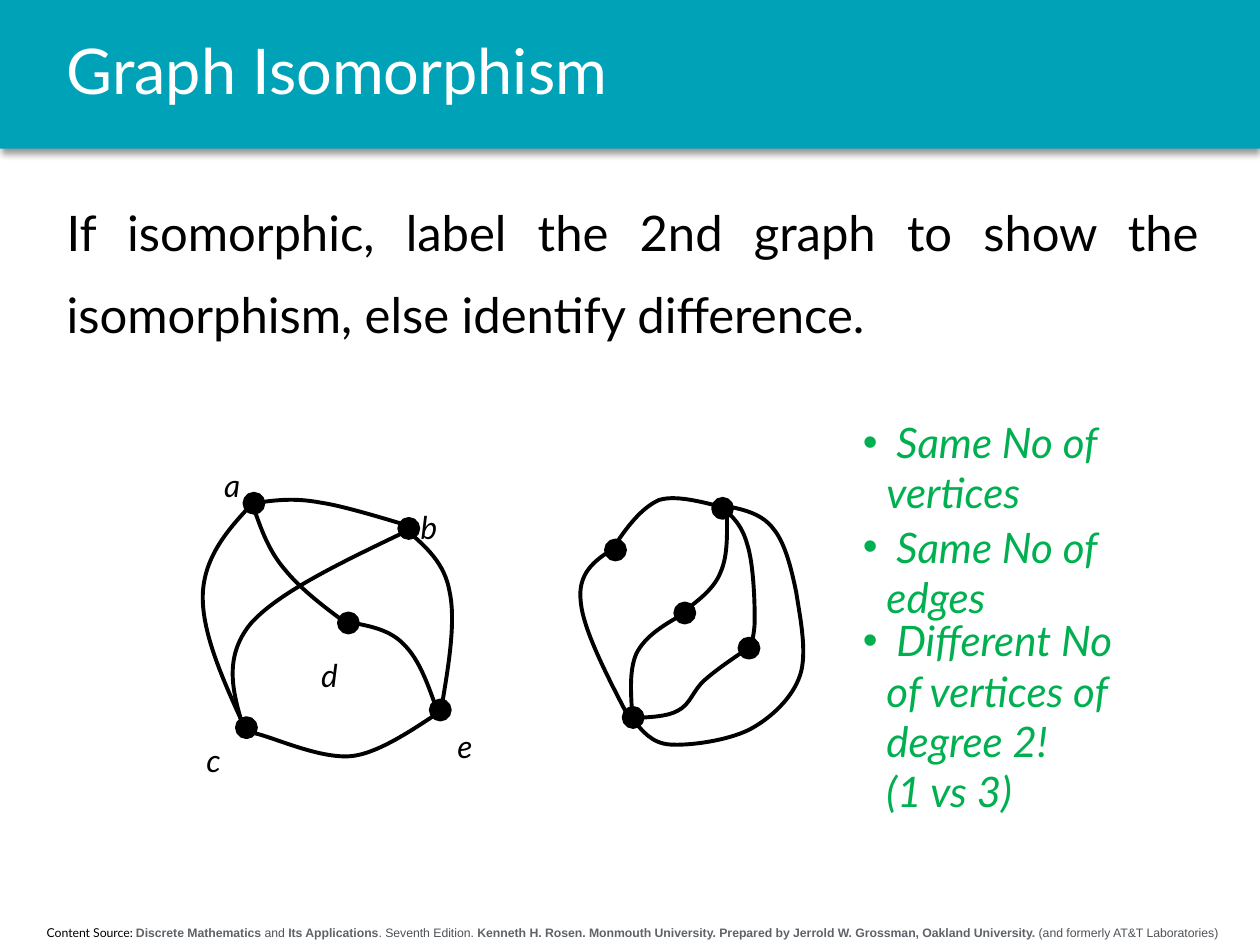
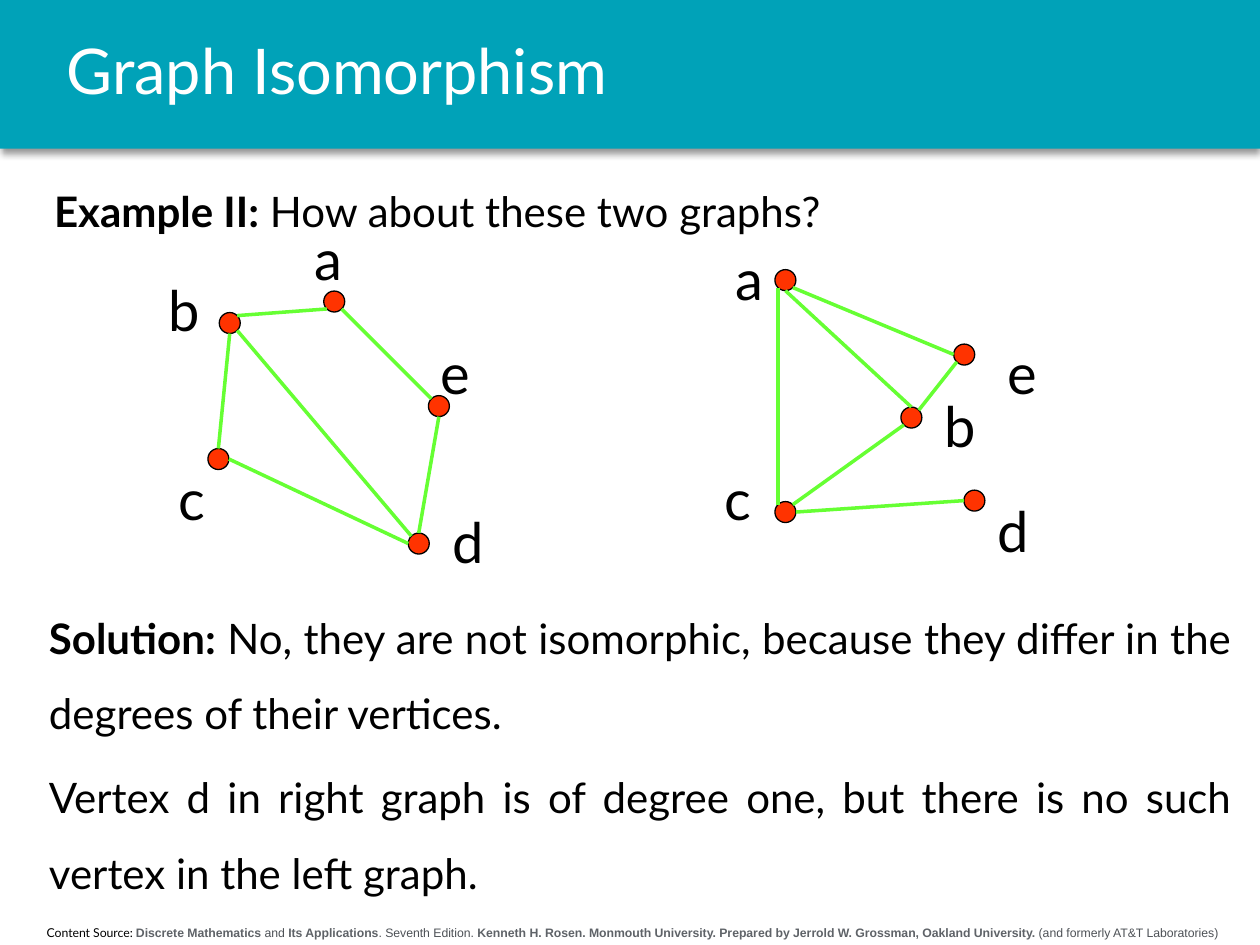
from math import cos, radians, sin

from lxml.etree import SubElement
from pptx import Presentation
from pptx.dml.color import RGBColor
from pptx.enum.shapes import MSO_CONNECTOR, MSO_SHAPE
from pptx.enum.text import MSO_ANCHOR, PP_ALIGN
from pptx.oxml.ns import qn
from pptx.util import Pt

COLORS = {
    "band": "00A2B8", "white": "FFFFFF", "black": "000000", "answer": "00B050",
    "vertex": "FF3300", "edge": "66FF33", "source_bold": "5F6368", "source": "4D5156",
}
FONT = "Lato"
SOURCE_RUNS = [
    ("Content Source: ", {"color": "black"}),
    ("Discrete Mathematics", {"bold": True}),
    (" and ", {}),
    ("Its Applications", {"bold": True}),
    (". Seventh Edition. ", {}),
    ("Kenneth H. Rosen. Monmouth University. Prepared by Jerrold W. Grossman, "
     "Oakland University.", {"bold": True}),
    (" (and formerly AT&T Laboratories)", {}),
]
SIDES = {"E": 0, "SE": 45, "S": 90, "SW": 135, "W": 180, "NW": 225, "N": 270, "NE": 315}

CURVED_DOTS = [
    (145.1, 287.6), (199.1, 356), (233.6, 302), (251.6, 405.7), (140.8, 415.8),
    (351.7, 314.3), (412.9, 290.5), (361.8, 410), (428, 370.4), (391.3, 350.3),
]
CURVED_LABELS = {
    "a": (121, 259.2), "b": (233.3, 283), "c": (110.9, 416.2),
    "d": (176.4, 367.9), "e": (254.2, 408.2),
}
CURVES = [
    [(146.9, 287.3), (157.7, 285.8), (168.5, 284.4), (183.6, 287.3),
     (198, 289.4), (227.5, 298.8), (235.4, 301)],
    [(144.7, 287.3), (130.3, 302.4), (116.6, 318.2), (115.9, 339.8),
     (115.2, 361.4), (127.4, 388.8), (140.4, 416.9)],
    [(139, 415.4), (133.2, 396), (127.4, 375.8), (143.3, 356.4),
     (159.8, 337.7), (198.7, 319.7), (237.6, 301)],
    [(144.7, 289.4), (149, 301.7), (153.4, 314.6), (162.7, 325.4),
     (172.1, 337), (186.5, 347.8), (200.2, 357.8)],
    [(200.2, 355.7), (211.7, 357.8), (223.2, 360), (231.1, 368.6),
     (239.8, 377.3), (244.8, 391.7), (249.8, 406.1)],
    [(138.2, 416.9), (136.8, 416.2), (135.4, 416.2), (145.4, 419), (156.2, 421.2),
     (183.6, 434.2), (201.6, 432), (219.6, 429.8), (244.8, 410.4), (252.7, 406.1)],
    [(232.6, 303.1), (243.4, 312.5), (254.2, 321.8), (257, 338.4),
     (260.6, 355.7), (256.3, 380.9), (252, 406.1)],
    [(349.9, 313.9), (357.8, 301.7), (366.5, 290.2), (376.6, 285.8),
     (387.4, 282.2), (406.8, 288.7), (411.8, 289.4)],
    [(349.9, 313.9), (339.8, 320.4), (329.8, 327.6), (331.9, 344.2),
     (333.4, 360), (347, 386.6), (360.7, 412.6)],
    [(361.4, 410.4), (360.7, 397.4), (359.3, 383.8), (363.6, 373.7),
     (368.6, 363.6), (379.4, 357.1), (391, 350.6)],
    [(391, 349.2), (399.6, 342.7), (408.2, 336.2), (411.8, 326.9),
     (416.2, 316.8), (415.4, 303.8), (415.4, 290.2)],
    [(411.8, 289.4), (418.3, 294.5), (424.1, 300.2), (427, 311), (430.6, 321.8),
     (431.3, 343.4), (431.3, 353.5), (431.3, 363.6), (429.1, 367.9), (428.4, 370.8)],
    [(361.4, 410.4), (371.5, 409.7), (380.9, 409.7), (387.4, 406.1), (394.6, 402.5),
     (396, 394.6), (402.5, 388.8), (409, 383), (418.3, 376.6), (427, 370.8)],
    [(361.4, 411.1), (367.2, 417.6), (372.2, 424.8), (383, 425.5), (393.8, 426.2),
     (415.4, 423.4), (428.4, 416.9), (440.6, 410.4), (452.9, 398.9), (457.2, 385.9),
     (461.5, 373), (457.2, 352.8), (455, 338.4), (452.2, 324.7), (448.6, 310.3),
     (442.1, 302.4), (435.6, 293.8), (426.2, 291.6), (416.2, 289.4)],
]
LEFT_GRAPH = {
    "vertices": {"a": (191, 172.3), "b": (131.3, 184.6), "c": (124.8, 262.3),
                 "d": (239.3, 310.6), "e": (250.8, 232.1)},
    "labels": {"a": (172.8, 124.6), "b": (89.3, 154.1), "c": (95, 262.1),
               "d": (251.3, 286.6), "e": (244.8, 190.1)},
    "edges": ["d N e S", "d W c E", "c N b S", "b NE a SW", "a SE e NW", "b SE d NW"],
}
RIGHT_GRAPH = {
    "vertices": {"a": (448.8, 160.1), "b": (520.8, 238.6), "c": (448.8, 292.6),
                 "d": (556.8, 286.1), "e": (551, 202.6)},
    "labels": {"a": (413.3, 136.1), "b": (532.8, 220.3), "c": (406.8, 262.1),
               "d": (563, 280.1), "e": (568.8, 190.1)},
    "edges": ["c E d W", "c NE b SW", "b N a S", "a SE e W", "e SW b NE", "a SW c NW"],
}


def rgb(name):
    """Return the named colour."""
    return RGBColor.from_string(COLORS[name])


def add_run(paragraph, text, size, color="black", font=FONT, bold=False, italic=False):
    """Append one formatted run to a paragraph."""
    run = paragraph.add_run()
    run.text = text
    run.font.name = font
    run.font.size = Pt(size)
    run.font.bold = bold
    run.font.italic = italic
    run.font.color.rgb = rgb(color)


def add_box(slide, left, top, width, height, middle=False, wrap=True):
    """Add an empty text box and return its text frame."""
    shape = slide.shapes.add_textbox(Pt(left), Pt(top), Pt(width), Pt(height))
    frame = shape.text_frame
    frame.word_wrap = wrap
    frame.vertical_anchor = MSO_ANCHOR.MIDDLE if middle else MSO_ANCHOR.TOP
    return frame


def format_paragraph(paragraph, align, line_spacing=1.0, space_after=0):
    """Set the alignment and spacing of a paragraph."""
    paragraph.alignment = align
    paragraph.line_spacing = line_spacing
    paragraph.space_after = Pt(space_after)


def add_shadow(shape):
    """Give a shape a soft shadow below it."""
    effects = shape._element.spPr.find(qn("a:effectLst"))
    shadow = SubElement(effects, qn("a:outerShdw"), blurRad=str(Pt(4)), dist=str(Pt(3)),
                        dir="5400000", algn="t", rotWithShape="0")
    color = SubElement(shadow, qn("a:srgbClr"), val=COLORS["black"])
    SubElement(color, qn("a:alpha"), val="40000")


def add_band(slide):
    """Draw the title band across the slide."""
    shape = slide.shapes.add_shape(MSO_SHAPE.RECTANGLE, 0, 0, Pt(720), Pt(85))
    shape.shadow.inherit = False
    shape.fill.solid()
    shape.fill.fore_color.rgb = rgb("band")
    shape.line.fill.background()
    add_shadow(shape)


def add_footer(slide):
    """Write the content source at the foot of the slide."""
    paragraph = add_box(slide, 2.9, 524.9, 717.1, 15.8).paragraphs[0]
    format_paragraph(paragraph, PP_ALIGN.CENTER)
    for index, (text, style) in enumerate(SOURCE_RUNS):
        color = "source_bold" if style.get("bold") else "source"
        font = "Arial" if index else FONT
        add_run(paragraph, text, 7, **{"color": color, "font": font, **style})


def add_base_slide(presentation, title):
    """Add a slide with the band, footer and title."""
    slide = presentation.slides.add_slide(presentation.slide_layouts[6])
    add_band(slide)
    add_footer(slide)
    paragraph = add_box(slide, 31, 0, 669.6, 85, middle=True).paragraphs[0]
    format_paragraph(paragraph, PP_ALIGN.LEFT, 0.9)
    add_run(paragraph, title, 36, "white")
    return slide


def add_body(slide, box, paragraphs, size, line_spacing):
    """Add justified paragraphs, each a bold lead followed by plain text."""
    frame = add_box(slide, *box)
    for index, (lead, text) in enumerate(paragraphs):
        paragraph = frame.add_paragraph() if index else frame.paragraphs[0]
        format_paragraph(paragraph, PP_ALIGN.JUSTIFY, line_spacing, size * 0.2)
        if lead:
            add_run(paragraph, lead, size, bold=True)
        add_run(paragraph, text, size)


def add_finding(slide, top, height, lines):
    """Add one bulleted finding beside the graphs."""
    paragraph = add_box(slide, 486, top, 167.8, height, middle=True).paragraphs[0]
    properties = paragraph._p.get_or_add_pPr()
    properties.set("marL", str(Pt(13.5)))
    properties.set("indent", str(Pt(-13.5)))
    color = SubElement(SubElement(properties, qn("a:buClr")), qn("a:srgbClr"))
    color.set("val", COLORS["answer"])
    SubElement(properties, qn("a:buFont"), typeface="Arial")
    SubElement(properties, qn("a:buChar"), char="•")
    for index, line in enumerate(lines):
        if index:
            paragraph.add_line_break()
        add_run(paragraph, line, 24, "answer", italic=True)


def add_dot(slide, center, diameter, kind, fill, line_width):
    """Draw a round vertex about its centre."""
    left, top = (Pt(value - diameter / 2) for value in center)
    shape = slide.shapes.add_shape(kind, left, top, Pt(diameter), Pt(diameter))
    shape.shadow.inherit = False
    shape.fill.solid()
    shape.fill.fore_color.rgb = rgb(fill)
    shape.line.color.rgb = rgb("black")
    shape.line.width = Pt(line_width)


def add_curve(slide, points):
    """Draw a chain of Bezier curves: a start, then three points per curve."""
    start, *rest = [(Pt(x), Pt(y)) for x, y in points]
    builder = slide.shapes.build_freeform(*start, scale=1.0)
    builder.add_line_segments(rest, close=False)
    shape = builder.convert_to_shape()
    outline = next(shape._element.iter(qn("a:path")))
    segments = outline.findall(qn("a:lnTo"))
    for first in range(0, len(segments), 3):
        curve = SubElement(outline, qn("a:cubicBezTo"))
        for segment in segments[first:first + 3]:
            curve.append(segment[0])
            outline.remove(segment)
    shape.shadow.inherit = False
    shape.fill.background()
    shape.line.color.rgb = rgb("black")
    shape.line.width = Pt(2.25)


def add_label(slide, position, text, size, italic=False):
    """Name a vertex."""
    if italic:
        frame = add_box(slide, *position, 26.5, 36, middle=True, wrap=False)
    else:
        frame = add_box(slide, *position, 48, 46)
    add_run(frame.paragraphs[0], text, size, italic=italic)


def rim_point(center, side, radius=6):
    """Return the point on a vertex rim at a compass side."""
    angle = radians(SIDES[side])
    return Pt(center[0] + radius * cos(angle)), Pt(center[1] + radius * sin(angle))


def add_edge(slide, start, end):
    """Draw a straight edge between two rim points."""
    connector = slide.shapes.add_connector(MSO_CONNECTOR.STRAIGHT, *start, *end)
    connector.line.color.rgb = rgb("edge")
    connector.line.width = Pt(2)
    SubElement(connector._element.spPr, qn("a:effectLst"))


def add_graph(slide, graph):
    """Draw a labelled graph with straight edges."""
    vertices = graph["vertices"]
    for name, center in vertices.items():
        add_dot(slide, center, 12, MSO_SHAPE.FLOWCHART_CONNECTOR, "vertex", 0.75)
        add_label(slide, graph["labels"][name], name, 32)
    for edge in graph["edges"]:
        start, start_side, end, end_side = edge.split()
        add_edge(slide, rim_point(vertices[start], start_side),
                 rim_point(vertices[end], end_side))


def main():
    """Build both slides and save the presentation."""
    presentation = Presentation()
    presentation.slide_width, presentation.slide_height = Pt(720), Pt(540)

    slide = add_base_slide(presentation, "Graph Isomorphism")
    add_body(slide, (31, 98.6, 661, 100.8), [
        ("", "If isomorphic, label the 2nd graph to show the isomorphism, "
             "else identify difference.")], 28, 1.4)
    for center in CURVED_DOTS:
        add_dot(slide, center, 10.8, MSO_SHAPE.OVAL, "black", 2.25)
    for points in CURVES:
        add_curve(slide, points)
    for name, position in CURVED_LABELS.items():
        add_label(slide, position, name, 18, italic=True)
    add_finding(slide, 234, 65.5, [" Same No of vertices"])
    add_finding(slide, 293.8, 65.5, [" Same No of edges"])
    add_finding(slide, 347, 123.8, [" Different No of vertices of degree 2!", "(1 vs 3)"])

    slide = add_base_slide(presentation, "Graph Isomorphism")
    add_body(slide, (23.8, 87.8, 696.2, 41.8),
             [("Example II:", " How about these two graphs?")], 24, 1.5)
    for graph in (LEFT_GRAPH, RIGHT_GRAPH):
        add_graph(slide, graph)
    add_body(slide, (20.9, 331.9, 689.8, 144), [
        ("Solution:", " No, they are not isomorphic, because they differ in the "
                      "degrees of their vertices."),
        ("", "Vertex d in right graph is of degree one, but there is no such "
             "vertex in the left graph.")], 24, 1.5)

    presentation.save("out.pptx")


if __name__ == "__main__":
    main()
